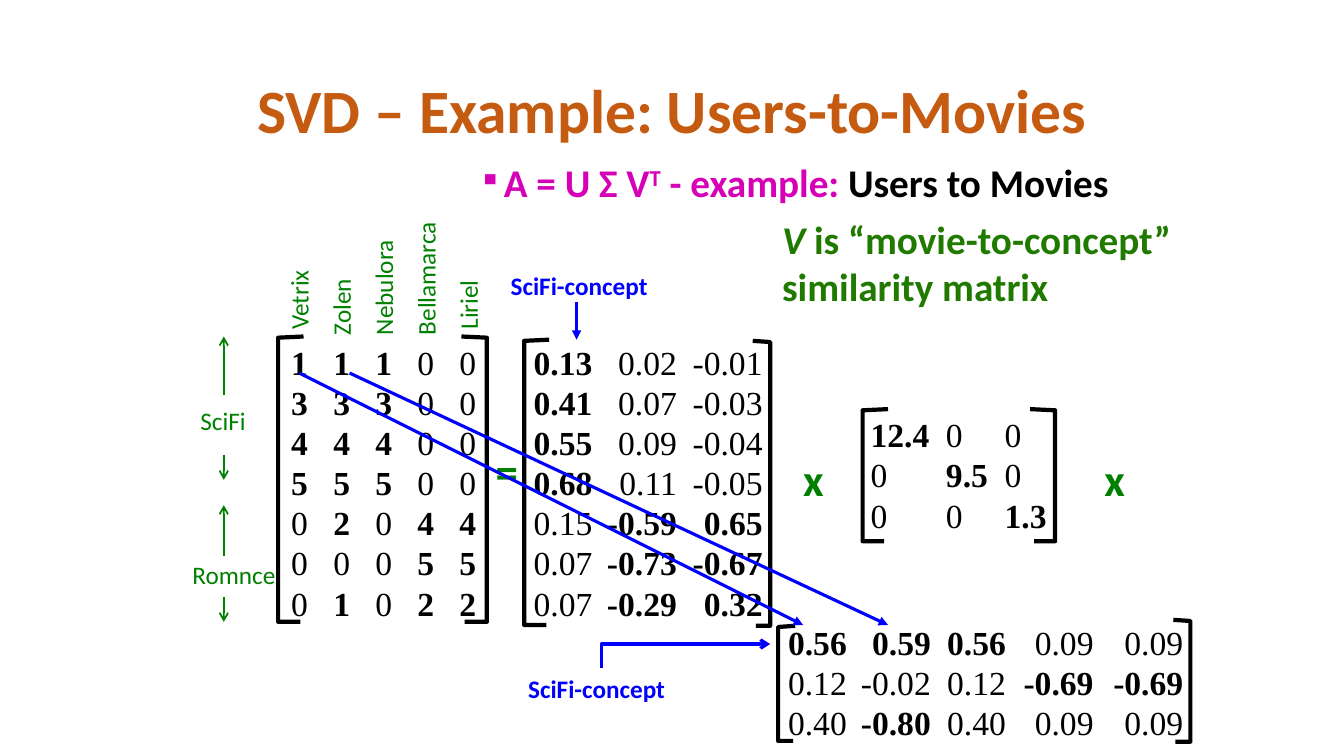
from lxml import etree
from pptx import Presentation
from pptx.dml.color import RGBColor
from pptx.enum.shapes import MSO_CONNECTOR
from pptx.enum.text import MSO_ANCHOR, PP_ALIGN
from pptx.oxml.ns import qn
from pptx.util import Cm, Pt

MIDDLE, TOP = MSO_ANCHOR.MIDDLE, MSO_ANCHOR.TOP
CENTER = PP_ALIGN.CENTER
STRAIGHT = MSO_CONNECTOR.STRAIGHT
ORANGE = RGBColor(0xC5, 0x5A, 0x11)
MAGENTA = RGBColor(0xD6, 0x00, 0xB7)
GREEN = RGBColor(0x00, 0x80, 0x00)
DARK_GREEN = RGBColor(0x20, 0x7A, 0x00)
BLUE = RGBColor(0x00, 0x00, 0xFF)
BLACK = RGBColor(0x00, 0x00, 0x00)

prs = Presentation()
prs.slide_width, prs.slide_height = Cm(33.87), Cm(19.05)
shapes = prs.slides.add_slide(prs.slide_layouts[6]).shapes


def add_text(box, lines, size, color, bold=False, anchor=MIDDLE, font="Calibri"):
    s = shapes.add_textbox(*[Cm(v) for v in box])
    tf = s.text_frame
    tf.word_wrap = True
    tf.vertical_anchor = anchor
    for i, runs in enumerate(lines):
        p = tf.paragraphs[0] if i == 0 else tf.add_paragraph()
        for text in runs:
            r = p.add_run()
            r.text = text
            r.font.name, r.font.size, r.font.bold = font, Pt(size), bold
            r.font.color.rgb = color
    return s


def style_line(s, color, width, head=None):
    s.line.color.rgb = color
    s.line.width = Pt(width)
    if head:
        ln = s.element.spPr.find(qn("a:ln"))
        etree.SubElement(ln, qn("a:tailEnd"), type=head)


title = add_text((2.34, 1.02, 29.21, 3.68), [["SVD – Example: Users-to-Movies"]], 44, ORANGE, True)
title.text_frame.paragraphs[0].alignment = CENTER
title.text_frame.paragraphs[0].line_spacing = 0.9

formula = add_text((11.91, 4.01, 18.54, 1.45),
                   [["A = U Σ V", "T", " - example: ", "Users to Movies"]], 28, MAGENTA, True, TOP)
formula.text_frame.margin_left = Cm(0.15)
p = formula.text_frame.paragraphs[0]
p.line_spacing, p.space_before = 0.9, Pt(10)
p.runs[1].font._element.set("baseline", "30000")
p.runs[3].font.color.rgb = BLACK
pPr = p._p.get_or_add_pPr()
pPr.set("marL", str(Cm(0.64)))
pPr.set("indent", str(Cm(-0.64)))
etree.SubElement(pPr, qn("a:buSzPct"), val="80000")
etree.SubElement(pPr, qn("a:buChar"), char="▪")

brackets = [
    (7.65, 7.01, 7.57, 8.48, 15.67), (11.63, 12.27, 11.71, 8.48, 15.67),
    (13.84, 13.21, 13.77, 8.56, 15.75), (18.97, 19.41, 19.05, 8.59, 15.77),
    (22.38, 21.74, 22.28, 10.31, 13.64), (25.96, 26.59, 26.06, 10.31, 13.64),
    (20.04, 19.61, 19.99, 15.77, 18.67), (29.57, 30, 29.62, 15.62, 18.69),
]
paths = [([(tip, top), (side, top + 0.03), (side, bottom), (foot, bottom)], BLACK, 3, None)
         for tip, side, foot, top, bottom in brackets]
paths.append(([(15.16, 16.84), (15.16, 16.23), (19.41, 16.23)], BLUE, 2.25, "arrow"))
for points, color, width, head in paths:
    points = [(Cm(x), Cm(y)) for x, y in points]
    builder = shapes.build_freeform(*points[0])
    builder.add_line_segments(points[1:], close=False)
    s = builder.convert_to_shape()
    s.shadow.inherit = False
    s.fill.background()
    style_line(s, color, width, head)

labels = [
    ((12.24, 11.05, 1.12, 1.63), "=", 32, GREEN, True),
    ((19.99, 11.25, 1.12, 1.63), "x", 32, GREEN, True),
    ((27.58, 11.25, 1.12, 1.63), "x", 32, GREEN, True),
    ((4.8, 10.08, 1.75, 1.02), "SciFi", 18, GREEN, False),
    ((4.6, 13.97, 2.69, 1.02), "Romnce", 18, GREEN, False),
    ((12.62, 6.68, 4.24, 1.02), "SciFi-concept", 18, BLUE, True),
    ((13.06, 16.84, 4.24, 1.02), "SciFi-concept", 18, BLUE, True),
]
for box, text, size, color, bold in labels:
    add_text(box, [[text]], size, color, bold)

movies = add_text((7.77, 4.11, 3.53, 5.64),
                  [[" Vetrix"], ["Zolen"], ["Nebulora"], ["Bellamarca"], [" Liriel"]],
                  18, GREEN, anchor=TOP)
movies.rotation = 270
for p in movies.text_frame.paragraphs:
    p.line_spacing = 1.4

note = add_text((19.46, 5.28, 10.74, 2.64),
                [["V", " is “movie-to-concept”"], ["similarity matrix"]], 28, DARK_GREEN, True)
note.text_frame.paragraphs[0].runs[0].font.italic = True

# box, left inset, tab alignment, tab stops, rows with bold cells starred
matrices = [
    ((6.91, 8.48, 5.51, 7.44), 0.43, "l", [1.06 * i for i in range(1, 5)],
     ["*1 *1 *1 0 0", "*3 *3 *3 0 0", "*4 *4 *4 0 0", "*5 *5 *5 0 0",
      "0 *2 0 *4 *4", "0 0 0 *5 *5", "0 *1 0 *2 *2"]),
    ((12.85, 8.48, 6.99, 7.44), 0.6, "r", [3.61, 5.77],
     ["*0.13 0.02 -0.01", "*0.41 0.07 -0.03", "*0.55 0.09 -0.04", "*0.68 0.11 -0.05",
      "0.15 *-0.59 *0.65", "0.07 *-0.73 *-0.67", "0.07 *-0.29 *0.32"]),
    ((21.69, 10.31, 5.51, 3.33), 0.25, "l", [1.9, 3.38],
     ["*12.4 0 0", "0 *9.5 0", "0 0 *1.3"]),
    ((19.61, 15.54, 10.59, 3.33), 0.25, "r", [3.6, 5.49, 7.7, 9.96],
     ["*0.56 *0.59 *0.56 0.09 0.09", "0.12 -0.02 0.12 *-0.69 *-0.69",
      "0.40 *-0.80 0.40 0.09 0.09"]),
]
for box, inset, side, stops, rows in matrices:
    cells = [row.split() for row in rows]
    lines = [[("\t" if i else "") + cell.lstrip("*") for i, cell in enumerate(row)] for row in cells]
    s = add_text(box, lines, 24, BLACK, anchor=TOP, font="Times New Roman")
    tf = s.text_frame
    tf.margin_left, tf.margin_top = Cm(inset), Cm(0.13)
    for p, row in zip(tf.paragraphs, cells):
        p.line_spacing = Pt(28.7)
        tabs = etree.SubElement(p._p.get_or_add_pPr(), qn("a:tabLst"))
        for stop in stops:
            etree.SubElement(tabs, qn("a:tab"), pos=str(Cm(stop)), algn=side)
        for r, cell in zip(p.runs, row):
            r.font.bold = cell.startswith("*")

arrows = [(5.64, y1, 5.64, y2, GREEN, 1.25, "arrow")
          for y1, y2 in [(9.96, 8.48), (11.46, 12.09), (14, 12.73), (15.04, 15.67)]]
arrows += [(*ends, BLUE, 2.25, "triangle")
           for ends in [(14.53, 7.62, 14.53, 8.56), (7.54, 9.4, 20.24, 15.75),
                        (8.81, 9.4, 22.38, 15.75)]]
for x1, y1, x2, y2, color, width, head in arrows:
    s = shapes.add_connector(STRAIGHT, Cm(x1), Cm(y1), Cm(x2), Cm(y2))
    style_line(s, color, width, head)
    etree.SubElement(s.element.spPr, qn("a:effectLst"))

prs.save("out.pptx")
